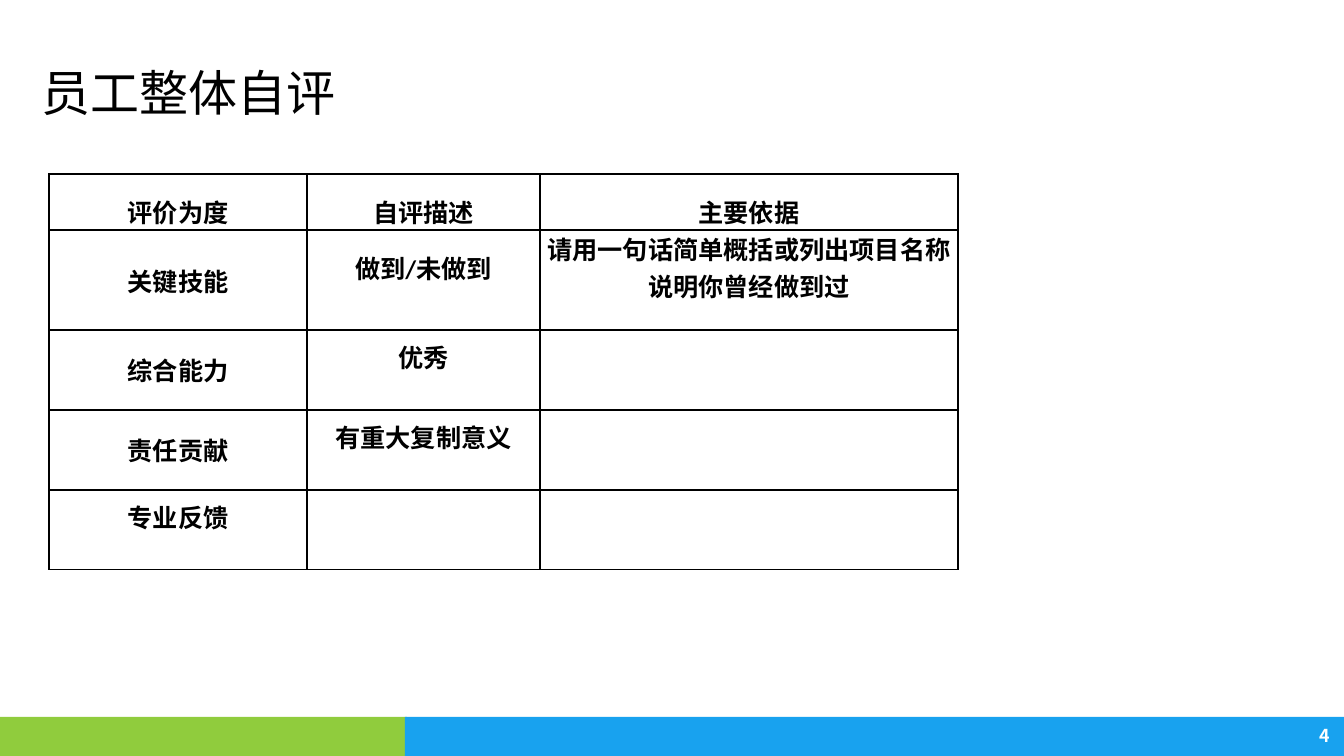
from dataclasses import dataclass

import lxml.etree
import pptx
import pptx.dml.color
import pptx.enum.shapes
import pptx.enum.text
import pptx.oxml.ns
import pptx.slide
import pptx.table
import pptx.text.text
import pptx.util

ALIGN = pptx.enum.text.PP_ALIGN
ANCHOR = pptx.enum.text.MSO_ANCHOR
EAST_ASIAN_FONT = "Noto Sans CJK SC"
BLACK, WHITE = "000000", "FFFFFF"
LIFT = 26


@dataclass
class Area:
    left: int
    top: int
    width: int
    height: int


@dataclass
class Band:
    area: Area
    fill: str


@dataclass
class Style:
    size: float
    font: str
    color: str
    bold: bool = False
    align: ALIGN = ALIGN.LEFT
    spacing: float = 1.0


@dataclass
class Label:
    area: Area
    text: str
    style: Style
    anchor: ANCHOR


@dataclass
class Entry:
    text: str = ""
    font: str = "Times New Roman"
    spacing: float = 1.0
    lift: int = 0


def px(count: int) -> int:
    return round(count * 914400 / 100.8)


def color_of(value: str) -> pptx.dml.color.RGBColor:
    return pptx.dml.color.RGBColor.from_string(value)


def apply_format(target: object, values: dict[str, object]) -> None:
    for name, value in values.items():
        setattr(target, name, value)


def box_of(area: Area) -> tuple[int, int, int, int]:
    return px(area.left), px(area.top), px(area.width), px(area.height)


def write_text(para: pptx.text.text._Paragraph, text: str, style: Style) -> None:
    apply_format(para, {"alignment": style.align, "line_spacing": style.spacing})
    span = para.add_run()
    span.text = text
    apply_format(span.font, {
        "size": pptx.util.Pt(style.size),
        "name": style.font,
        "bold": style.bold,
    })
    span.font.color.rgb = color_of(style.color)
    east_asian = lxml.etree.SubElement(span.font._element, pptx.oxml.ns.qn("a:ea"))
    east_asian.set("typeface", EAST_ASIAN_FONT)


def draw_band(page: pptx.slide.Slide, band: Band) -> None:
    shape = page.shapes.add_shape(
        pptx.enum.shapes.MSO_SHAPE.RECTANGLE, *box_of(band.area))
    shape.shadow.inherit = False
    shape.fill.solid()
    shape.fill.fore_color.rgb = color_of(band.fill)
    shape.line.fill.background()


def draw_label(page: pptx.slide.Slide, label: Label) -> None:
    frame = page.shapes.add_textbox(*box_of(label.area)).text_frame
    apply_format(frame, {"word_wrap": True, "vertical_anchor": label.anchor})
    write_text(frame.paragraphs[0], label.text, label.style)


def draw_borders(cell: pptx.table._Cell) -> None:
    properties = cell._tc.get_or_add_tcPr()
    for position, side in enumerate(("lnL", "lnR", "lnT", "lnB")):
        line = lxml.etree.Element(pptx.oxml.ns.qn(f"a:{side}"))
        line.set("w", str(pptx.util.Pt(1)))
        fill = lxml.etree.SubElement(line, pptx.oxml.ns.qn("a:solidFill"))
        shade = lxml.etree.SubElement(fill, pptx.oxml.ns.qn("a:srgbClr"))
        shade.set("val", BLACK)
        properties.insert(position, line)


def draw_cell(cell: pptx.table._Cell, entry: Entry) -> None:
    apply_format(cell, {
        "vertical_anchor": ANCHOR.MIDDLE,
        "margin_left": px(4),
        "margin_right": px(4),
        "margin_top": 0,
        "margin_bottom": px(entry.lift),
    })
    cell.fill.background()
    draw_borders(cell)
    if entry.text:
        style = Style(18, entry.font, BLACK, True, ALIGN.CENTER, entry.spacing)
        write_text(cell.text_frame.paragraphs[0], entry.text, style)


def draw_review(page: pptx.slide.Slide, left: int, top: int, widths: list[int],
                heights: list[int], rows: list[list[Entry]]) -> None:
    area = Area(left, top, sum(widths), sum(heights))
    table = page.shapes.add_table(len(rows), len(widths), *box_of(area)).table
    apply_format(table, {"first_row": False, "horz_banding": False})
    for column, width in zip(table.columns, widths):
        column.width = px(width)
    for row, height, entries in zip(table.rows, heights, rows):
        row.height = px(height)
        for cell, entry in zip(row.cells, entries):
            draw_cell(cell, entry)


def raised(text: str, font: str = "Calibri") -> Entry:
    return Entry(text, font, lift=LIFT)


BANDS = [
    Band(Area(0, 717, 407, 42), "90CC3D"),
    Band(Area(405, 717, 939, 42), "18A2EF"),
]
LABELS = [
    Label(Area(1193, 720, 147, 31), "4",
          Style(12.7, EAST_ASIAN_FONT, WHITE, True, ALIGN.RIGHT), ANCHOR.TOP),
    Label(Area(32, 66, 755, 59), "员工整体自评",
          Style(35, "Calibri", BLACK, spacing=0.9), ANCHOR.MIDDLE),
]
HEADINGS = ["评价为度", "自评描述", "主要依据"]
REVIEW = [
    [Entry(heading, spacing=1.5) for heading in HEADINGS],
    [Entry("关键技能"), raised("做到/未做到"),
     raised("请用一句话简单概括或列出项目名称说明你曾经做到过")],
    [Entry("综合能力"), raised("优秀"), Entry()],
    [Entry("责任贡献"), raised("有重大复制意义"), Entry()],
    [raised("专业反馈", "Times New Roman"), Entry(), Entry()],
]


def main() -> None:
    deck = pptx.Presentation()
    apply_format(deck, {"slide_width": px(1344), "slide_height": px(756)})
    page = deck.slides.add_slide(deck.slide_layouts[6])
    for band in BANDS:
        draw_band(page, band)
    for label in LABELS:
        draw_label(page, label)
    draw_review(page, 49, 174, [258, 233, 418], [56, 100, 80, 80, 80], REVIEW)
    deck.save("out.pptx")


if __name__ == "__main__":
    main()
